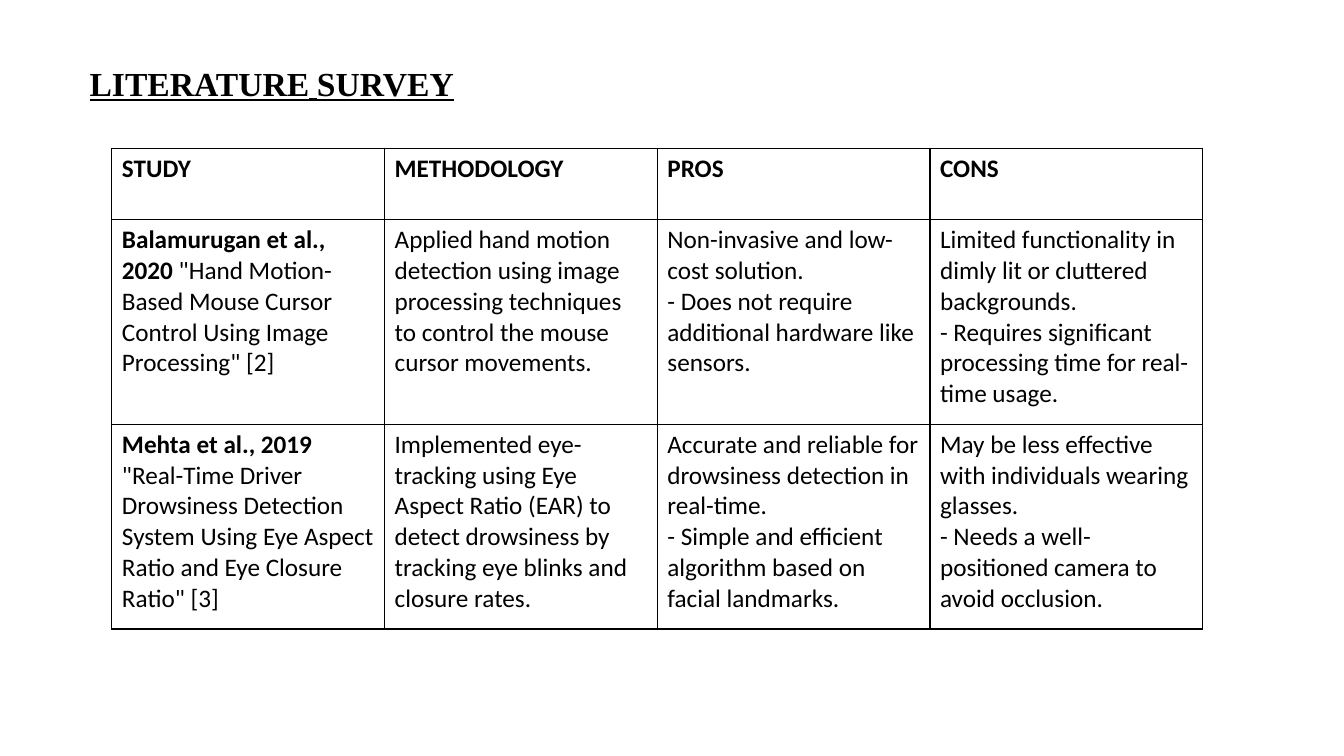
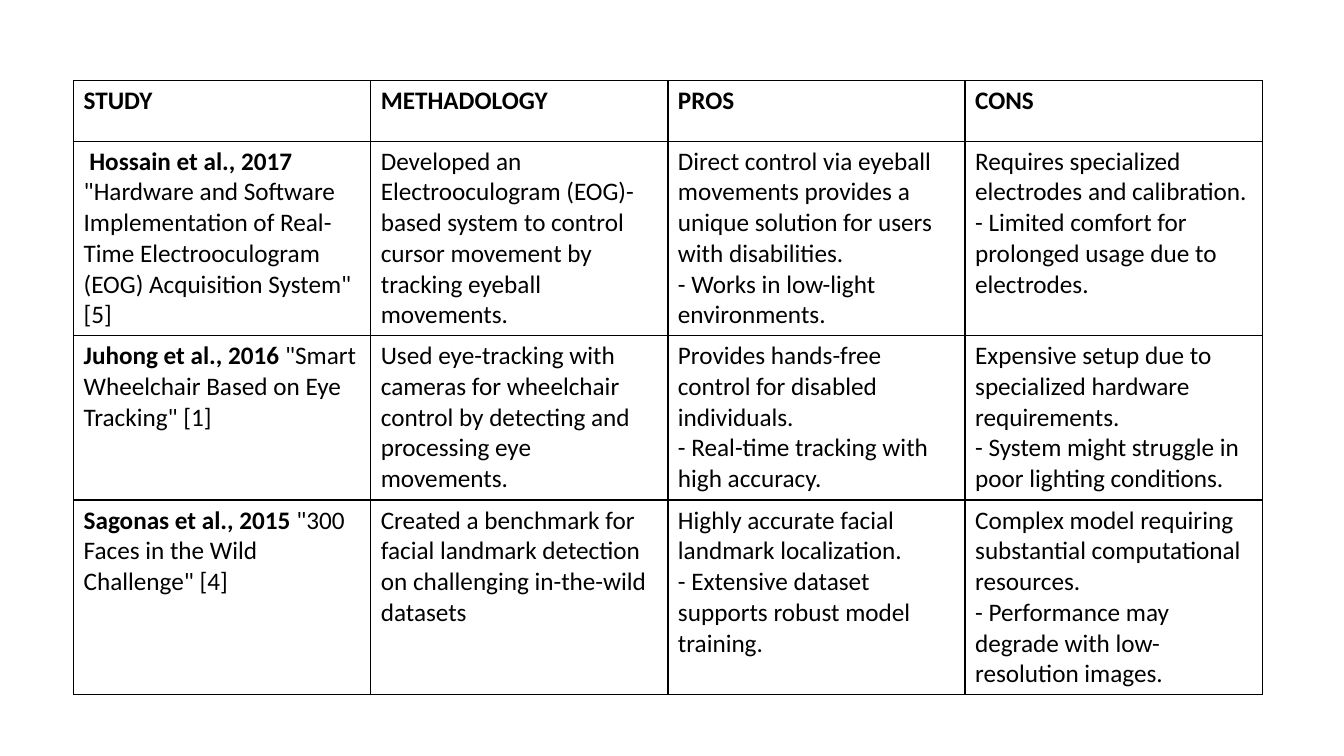
from lxml import etree
from pptx import Presentation
from pptx.dml.color import RGBColor
from pptx.enum.text import MSO_ANCHOR as Anchor
from pptx.oxml.ns import qn
from pptx.util import Inches, Pt


def rgb(hex_code):
    return RGBColor.from_string(hex_code)


class SurveyDeck:
    INK = "000000"
    TITLE_FONT, BODY_FONT = "Times New Roman", "Calibri"
    TITLE_SIZE, BODY_SIZE = 24, 18
    BORDER_WIDTH = 1

    def __init__(self):
        self.prs = Presentation()
        self.prs.slide_width, self.prs.slide_height = Inches(13.33), Inches(7.5)
        self.slide = None

    def new_slide(self):
        self.slide = self.prs.slides.add_slide(self.prs.slide_layouts[6])

    def add_run(self, paragraph, text, font, size, bold=False, underline=False):
        run = paragraph.add_run()
        run.text = text
        run.font.name, run.font.size = font, Pt(size)
        run.font.bold, run.font.underline = bold, underline
        run.font.color.rgb = rgb(self.INK)

    def title(self, runs, left, top, width, height):
        box = self.slide.shapes.add_textbox(
            Inches(left), Inches(top), Inches(width), Inches(height))
        frame = box.text_frame
        frame.word_wrap = True
        frame.vertical_anchor = Anchor.MIDDLE
        paragraph = frame.paragraphs[0]
        paragraph.line_spacing = 0.9
        for text, font in runs:
            self.add_run(paragraph, text, font, self.TITLE_SIZE, True, True)

    def border(self, cell):
        properties = cell._tc.get_or_add_tcPr()
        for position, side in enumerate(("lnL", "lnR", "lnT", "lnB")):
            line = etree.Element(qn(f"a:{side}"), w=str(Pt(self.BORDER_WIDTH)))
            fill = etree.SubElement(line, qn("a:solidFill"))
            etree.SubElement(fill, qn("a:srgbClr"), val=self.INK)
            properties.insert(position, line)

    def fill_cell(self, cell, runs):
        cell.fill.background()
        self.border(cell)
        paragraph = cell.text_frame.paragraphs[0]
        for text, bold in runs:
            for number, line in enumerate(text.split("\n")):
                if number:
                    paragraph.add_line_break()
                self.add_run(paragraph, line, self.BODY_FONT, self.BODY_SIZE, bold)

    def survey_table(self, headings, studies, left, top, width, row_heights):
        table = self.slide.shapes.add_table(
            len(row_heights), len(headings), Inches(left), Inches(top),
            Inches(width), Inches(sum(row_heights))).table
        table.first_row = table.horz_banding = False
        for column in table.columns:
            column.width = Inches(width / len(headings))
        for row, height in zip(table.rows, row_heights):
            row.height = Inches(height)

        # Bold headings, then one row per study with its authors in bold
        rows = [[[(heading, True)] for heading in headings]]
        for authors, paper, *findings in studies:
            rows.append([[(authors, True), (paper, False)]]
                        + [[(finding, False)] for finding in findings])
        for row, contents in zip(table.rows, rows):
            for cell, runs in zip(row.cells, contents):
                self.fill_cell(cell, runs)


# Authors, paper, methodology, pros, cons
CURSOR_AND_DROWSINESS = [
    ("Balamurugan et al., 2020",
     ' "Hand Motion-Based Mouse Cursor Control Using Image Processing" [2]',
     "Applied hand motion detection using image processing techniques to control "
     "the mouse cursor movements.",
     "Non-invasive and low-cost solution.\n"
     "- Does not require additional hardware like sensors.",
     "Limited functionality in dimly lit or cluttered backgrounds.\n"
     "- Requires significant processing time for real-time usage."),
    ("Mehta et al., 2019",
     ' "Real-Time Driver Drowsiness Detection System Using Eye Aspect Ratio and '
     'Eye Closure Ratio" [3]',
     "Implemented eye-tracking using Eye Aspect Ratio (EAR) to detect drowsiness "
     "by tracking eye blinks and closure rates.",
     "Accurate and reliable for drowsiness detection in real-time.\n"
     "- Simple and efficient algorithm based on facial landmarks.",
     "May be less effective with individuals wearing glasses.\n"
     "- Needs a well-positioned camera to avoid occlusion."),
]
EYE_AND_FACE = [
    (" Hossain et al., 2017",
     ' "Hardware and Software Implementation of Real-Time Electrooculogram (EOG) '
     'Acquisition System" [5]',
     "Developed an Electrooculogram (EOG)-based system to control cursor movement "
     "by tracking eyeball movements.",
     "Direct control via eyeball movements provides a unique solution for users "
     "with disabilities.\n- Works in low-light environments.",
     "Requires specialized electrodes and calibration.\n"
     "- Limited comfort for prolonged usage due to electrodes."),
    ("Juhong et al., 2016",
     ' "Smart Wheelchair Based on Eye Tracking" [1]',
     "Used eye-tracking with cameras for wheelchair control by detecting and "
     "processing eye movements.",
     "Provides hands-free control for disabled individuals. \n"
     "- Real-time tracking with high accuracy.",
     "Expensive setup due to specialized hardware requirements. \n"
     "- System might struggle in poor lighting conditions."),
    ("Sagonas et al., 2015",
     ' "300 Faces in the Wild Challenge" [4]',
     "Created a benchmark for facial landmark detection on challenging "
     "in-the-wild datasets",
     "Highly accurate facial landmark localization.\n"
     "- Extensive dataset supports robust model training.",
     "Complex model requiring substantial computational resources.\n"
     "- Performance may degrade with low-resolution images."),
]


def main():
    deck = SurveyDeck()

    # Slide 1: title and the first studies
    deck.new_slide()
    deck.title([("LITERATURE", deck.TITLE_FONT), (" ", deck.BODY_FONT),
                ("SURVEY", deck.TITLE_FONT)], 0.79, 0.4, 11.85, 0.89)
    deck.survey_table(["STUDY", "METHODOLOGY", "PROS", "CONS"],
                      CURSOR_AND_DROWSINESS, 1.11, 1.47, 10.82, [0.71, 2.03, 2.03])

    # Slide 2: the remaining studies
    deck.new_slide()
    deck.survey_table(["STUDY", "METHADOLOGY", "PROS", "CONS"],
                      EYE_AND_FACE, 0.73, 0.8, 11.79, [0.6, 1.93, 1.63, 1.93])

    deck.prs.save("out.pptx")


if __name__ == "__main__":
    main()
